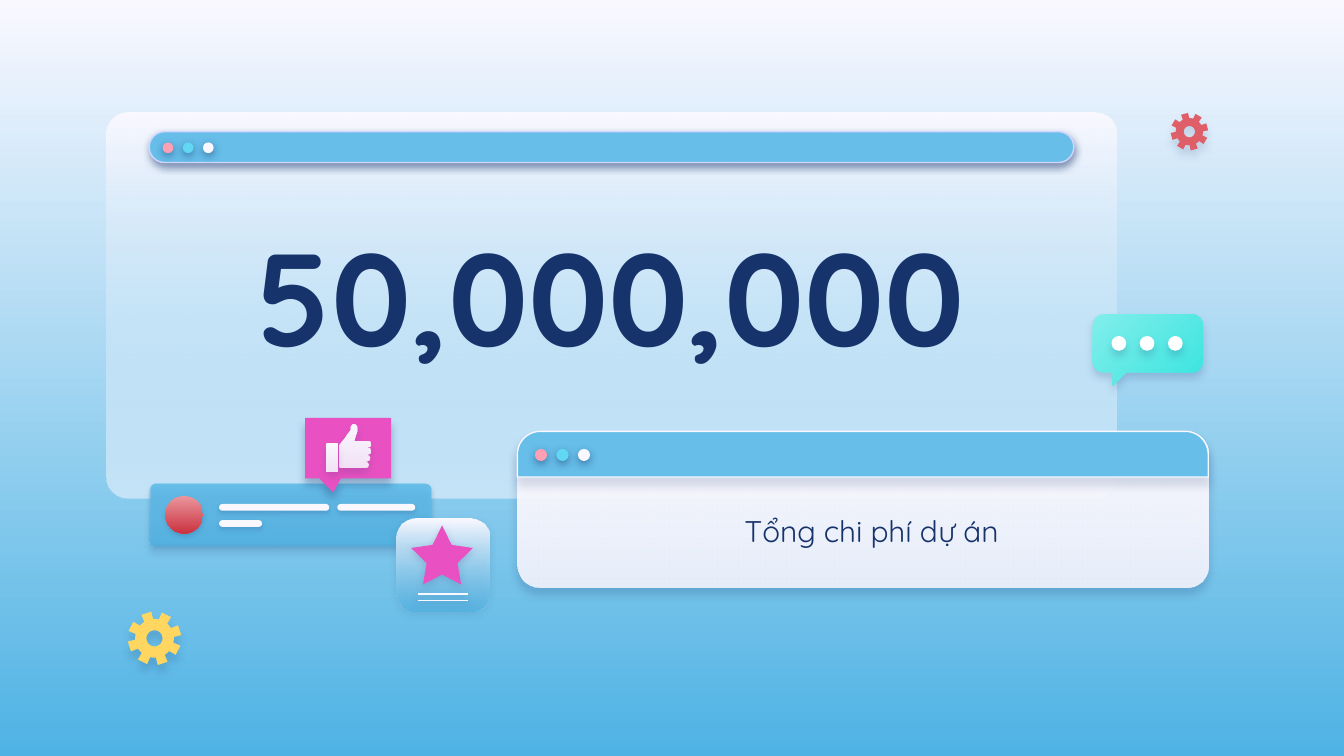
"""Build a big-number slide with window panels and social media icons."""
from dataclasses import dataclass
from math import cos, radians, sin

from lxml.etree import SubElement
from pptx import Presentation
from pptx.dml.color import RGBColor
from pptx.enum.shapes import MSO_CONNECTOR, MSO_SHAPE
from pptx.enum.text import MSO_ANCHOR, MSO_AUTO_SIZE, PP_ALIGN
from pptx.oxml.ns import qn
from pptx.util import Inches, Pt


@dataclass(frozen=True)
class Theme:
    """Colours, font and type sizes of the slide."""
    navy: str = "17336B"
    pale: str = "F9F8FF"
    sky: str = "66BEE9"
    deep: str = "4EB3E4"
    lilac: str = "D2D6FF"
    rose: str = "FDA0B4"
    cyan: str = "60D8F4"
    white: str = "FFFFFF"
    pink: str = "E951C2"
    yellow: str = "FFD65F"
    red: str = "DF5F69"
    avatar: tuple = ("EA969D", "CB3340")
    mint: tuple = ("81EEEB", "3AE4DF")
    font: str = "Quicksand"
    number: int = 70
    body: int = 16


T = Theme()
BUTTON_SHADOW = (50, 4.5, 1.5)
SOFT_SHADOW = (17, 2.2, 1.5)
ICON_SHADOW = (19, 4.5, 1.5)
BUBBLE_SHADOW = (18, 4.5, 3)


def rgb(value):
    """Turn a hex string into a colour."""
    return RGBColor.from_string(value)


def gradient(fill, colours, angle=90):
    """Give a fill two colour stops, with the angle measured clockwise."""
    fill.gradient()
    fill.gradient_angle = 360 - angle
    for stop, colour in zip(fill.gradient_stops, colours):
        stop.color.rgb = rgb(colour)


def set_alpha(sp, percents):
    """Set the opacity of each gradient stop."""
    for stop, percent in zip(sp.element.spPr.iter(qn("a:gs")), percents):
        SubElement(stop[0], qn("a:alpha"), val=str(percent * 1000))


def add_shadow(sp, percent, blur, distance):
    """Drop a navy shadow straight down."""
    effects = sp.element.spPr.find(qn("a:effectLst"))
    if effects is None:
        effects = SubElement(sp.element.spPr, qn("a:effectLst"))
    outer = SubElement(effects, qn("a:outerShdw"), blurRad=str(Pt(blur)),
                       dist=str(Pt(distance)), dir="5400000",
                       algn="bl", rotWithShape="0")
    colour = SubElement(outer, qn("a:srgbClr"), val=T.navy)
    SubElement(colour, qn("a:alpha"), val=str(percent * 1000))


def style(sp, fill, line=None, shadow=None, alpha=None, angle=90):
    """Set fill, outline, opacity and shadow of a shape."""
    sp.shadow.inherit = False
    if isinstance(fill, tuple):
        gradient(sp.fill, fill, angle)
    else:
        sp.fill.solid()
        sp.fill.fore_color.rgb = rgb(fill)
    if line:
        sp.line.color.rgb = rgb(line)
        sp.line.width = Pt(0.75)
    else:
        sp.line.fill.background()
    if alpha:
        set_alpha(sp, alpha)
    if shadow:
        add_shadow(sp, *shadow)


def add_preset(s, kind, box, fill, adjust=(), **look):
    """Add a styled preset shape."""
    sp = s.shapes.add_shape(kind, *map(Inches, box))
    for i, value in enumerate(adjust):
        sp.adjustments[i] = value
    style(sp, fill, **look)


def add_round(s, box, fill, radius=0.5, **look):
    """Add a rounded rectangle."""
    add_preset(s, MSO_SHAPE.ROUNDED_RECTANGLE, box, fill, (radius,), **look)


def add_circles(s, left, top, size, step, fills, shadow):
    """Add a row of evenly spaced circles."""
    for i, fill in enumerate(fills):
        add_preset(s, MSO_SHAPE.OVAL, (left + i * step, top, size, size),
                   fill, shadow=shadow)


def add_outline(s, contours, fill, **look):
    """Add a closed freeform of one or more contours."""
    paths = [[(Inches(x), Inches(y)) for x, y in c] for c in contours]
    builder = s.shapes.build_freeform(*paths[0][0])
    builder.add_line_segments(paths[0][1:])
    for path in paths[1:]:
        builder.move_to(*path[0])
        builder.add_line_segments(path[1:])
    style(builder.convert_to_shape(), fill, **look)


def arc(x, y, radius, start, end, steps=8):
    """List points along an arc, with angles in degrees."""
    angles = [radians(start + (end - start) * i / steps) for i in range(steps + 1)]
    return [(x + radius * cos(a), y + radius * sin(a)) for a in angles]


def add_gear(s, x, y, radius, turn, fill, shadow):
    """Add an eight-toothed gear with a round hole."""
    rim = []
    for tooth in range(8):
        angle = turn + tooth * 45
        rim += arc(x, y, radius * 0.72, angle - 31, angle - 14, 4)
        rim += arc(x, y, radius, angle - 11, angle + 11, 1)
    hole = arc(x, y, radius * 0.3, 360, 0, 32)
    add_outline(s, [rim, hole], fill, shadow=shadow)


def write(sp, box, text, size, anchor, bold=False):
    """Place a text shape and fill it with one centred line."""
    sp.left, sp.top, sp.width, sp.height = map(Inches, box)
    tf = sp.text_frame
    tf.text = text
    tf.word_wrap = True
    tf.auto_size = MSO_AUTO_SIZE.NONE
    tf.vertical_anchor = anchor
    tf.margin_left = tf.margin_right = tf.margin_top = tf.margin_bottom = Inches(0.1)
    p = tf.paragraphs[0]
    p.alignment = PP_ALIGN.CENTER
    p.font.name, p.font.size, p.font.bold = T.font, Pt(size), bold
    p.font.color.rgb = rgb(T.navy)
    return p


def add_windows(s):
    """Add the number window and the caption window."""
    buttons = (T.rose, T.cyan, T.pale)
    panel = (0.79, 0.84, 7.52, 2.87)
    add_round(s, panel, T.pale, 0.056)
    add_round(s, panel, (T.pale, T.sky), 0.056, alpha=(100, 35))
    add_round(s, (1.11, 0.98, 6.88, 0.23), T.sky, line=T.lilac, shadow=BUTTON_SHADOW)
    add_circles(s, 1.21, 1.06, 0.08, 0.15, buttons, BUTTON_SHADOW)
    add_round(s, (3.85, 3.21, 5.14, 1.16), (T.pale, T.pale), 0.149,
              alpha=(100, 87), shadow=(22, 4.5, 3.8))
    add_preset(s, MSO_SHAPE.ROUND_2_SAME_RECTANGLE, (3.85, 3.21, 5.14, 0.34),
               T.sky, (0.5, 0), line=T.pale, shadow=(15, 4.5, 3.8))
    add_circles(s, 3.98, 3.34, 0.09, 0.16, buttons, BUTTON_SHADOW)


def add_post(s):
    """Add the post card with its avatar and text bars."""
    add_round(s, (1.12, 3.6, 2.09, 0.45), T.sky, 0.09, shadow=SOFT_SHADOW)
    add_round(s, (1.11, 3.6, 2.09, 0.47), (T.sky, T.deep), 0.09,
              alpha=(35, 58), shadow=(19, 3.4, 3.8))
    add_circles(s, 1.23, 3.69, 0.28, 0, [T.avatar], SOFT_SHADOW)
    for left, top, width in ((1.63, 3.75, 0.82), (2.51, 3.75, 0.58), (1.63, 3.87, 0.32)):
        add_round(s, (left, top, width, 0.05), T.pale, shadow=SOFT_SHADOW)


def add_chat(s):
    """Add the chat bubble with three dots."""
    left, top, right, bottom, r = 8.13, 2.34, 8.95, 2.77, 0.08
    bubble = (arc(left + r, top + r, r, 180, 270) + arc(right - r, top + r, r, 270, 360)
              + arc(right - r, bottom - r, r, 0, 90)
              + [(8.38, bottom), (8.28, 2.87), (8.28, bottom)]
              + arc(left + r, bottom - r, r, 90, 180))
    add_outline(s, [bubble], T.mint, angle=45, shadow=BUBBLE_SHADOW)
    add_circles(s, 8.27, 2.5, 0.11, 0.21, [T.white] * 3, BUBBLE_SHADOW)


def add_star_card(s):
    """Add the card with a star and two lines."""
    add_round(s, (2.95, 3.86, 0.69, 0.69), (T.pale, T.deep), 0.2,
              alpha=(100, 58), shadow=ICON_SHADOW)
    add_preset(s, MSO_SHAPE.STAR_5_POINT, (3.06, 3.91, 0.46, 0.44), T.pink,
               (0.25,), shadow=ICON_SHADOW)
    for y in (4.42, 4.47):
        rule = s.shapes.add_connector(MSO_CONNECTOR.STRAIGHT, Inches(3.11), Inches(y),
                                      Inches(3.48), Inches(y))
        rule.line.color.rgb = rgb(T.pale)
        rule.line.width = Pt(0.75)
        add_shadow(rule, *ICON_SHADOW)


def add_like(s):
    """Add the callout with a raised thumb."""
    look = {"alpha": (100, 87), "shadow": BUBBLE_SHADOW}
    add_preset(s, MSO_SHAPE.ROUNDED_RECTANGULAR_CALLOUT, (2.27, 3.11, 0.64, 0.45),
               T.pink, (-0.174, 0.731, 0), shadow=(31, 4.5, 3.8))
    thumb = arc(2.635, 3.185, 0.025, 180, 360) + [(2.66, 3.21), (2.64, 3.28)]
    for i, tip in enumerate((2.76, 2.76, 2.75, 2.74)):
        thumb += arc(tip - 0.025, 3.305 + i * 0.05, 0.025, -90, 90)
    thumb += [(2.54, 3.48), (2.53, 3.47), (2.53, 3.31), (2.61, 3.2)]
    add_outline(s, [thumb], (T.pale, T.pale), **look)
    add_round(s, (2.43, 3.3, 0.08, 0.21), (T.pale, T.pale), 0.1, **look)


def main():
    """Build and save the slide."""
    prs = Presentation()
    prs.slide_width, prs.slide_height = Inches(10), Inches(10 * 9 / 16)
    s = prs.slides.add_slide(prs.slide_layouts[5])
    gradient(s.background.fill, (T.pale, T.deep))
    add_windows(s)
    title = s.shapes.title
    s.shapes.element.append(title.element)
    write(title, (0.95, 1.22, 7.19, 1.65), "50,000,000", T.number, MSO_ANCHOR.BOTTOM, True)
    box = (4.02, 3.72, 4.93, 0.45)
    caption = s.shapes.add_textbox(*map(Inches, box))
    p = write(caption, box, "Tổng chi phí dự án", T.body, MSO_ANCHOR.MIDDLE)
    p.space_after = Pt(12)
    add_post(s)
    add_chat(s)
    add_star_card(s)
    add_like(s)
    add_gear(s, 1.15, 4.75, 0.2, 27, T.yellow, (16, 4.5, 4.5))
    add_gear(s, 8.85, 0.98, 0.14, 30, T.red, (15, 4.5, 3.8))
    prs.save("out.pptx")


if __name__ == "__main__":
    main()
